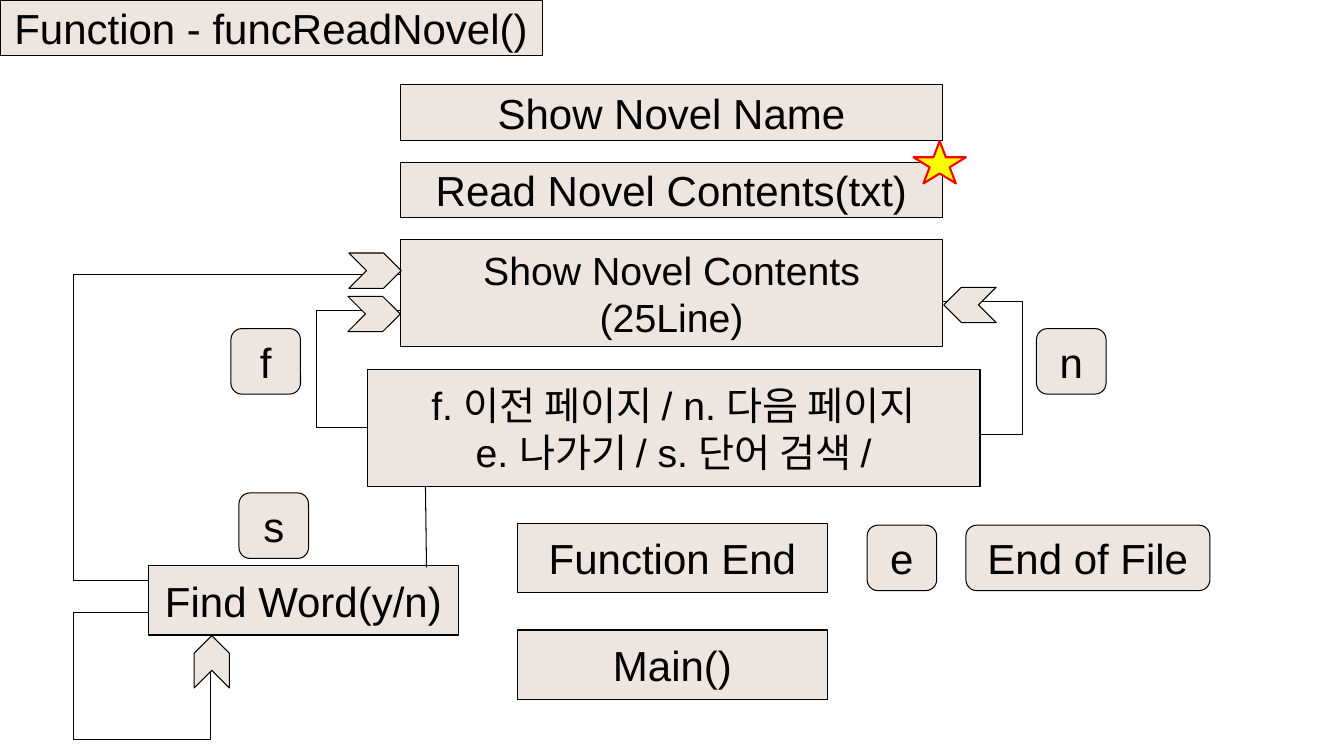
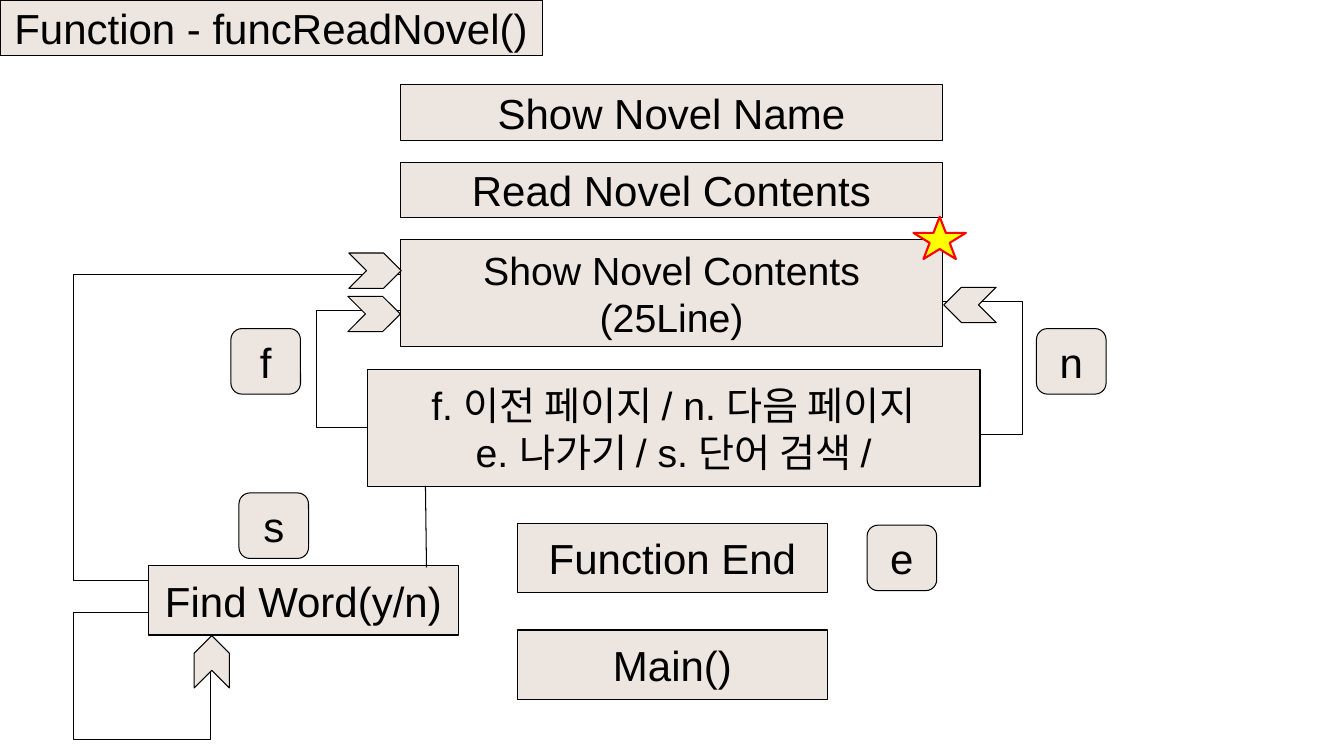
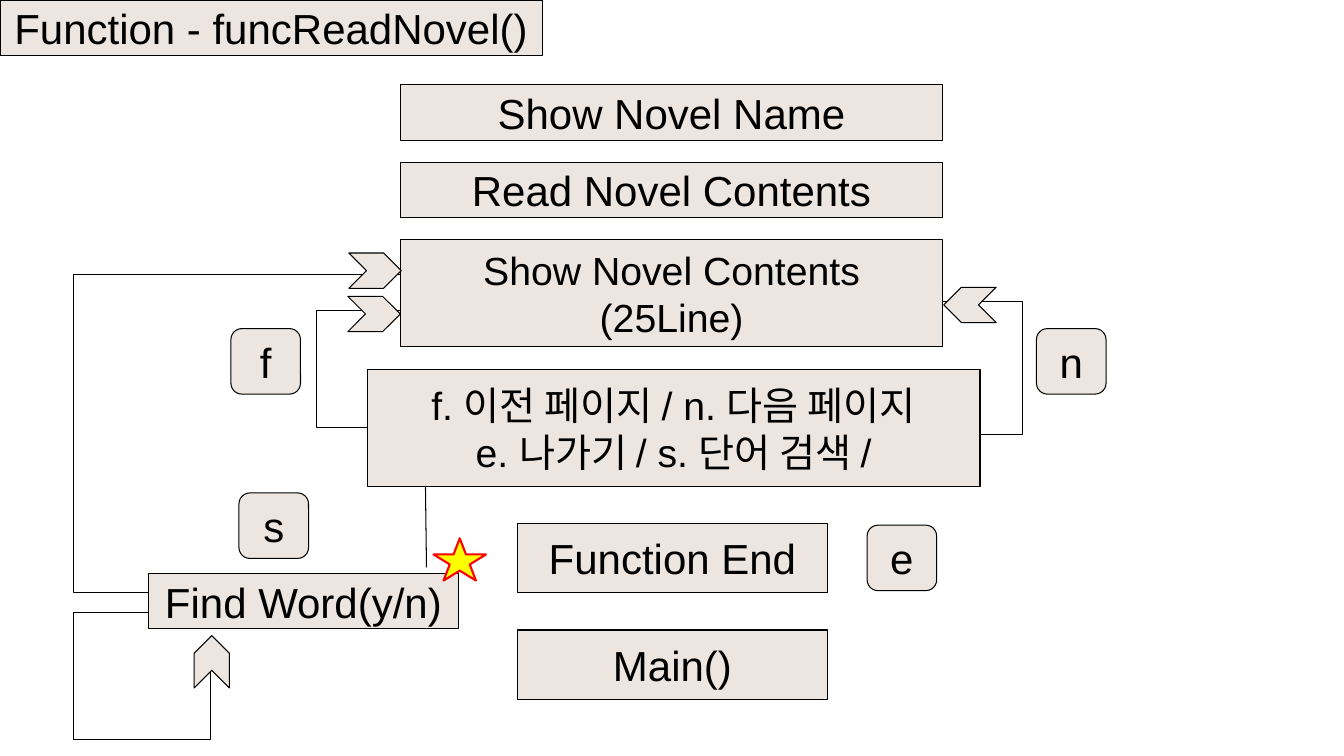
from dataclasses import dataclass

from lxml import etree
from pptx import Presentation
from pptx import util as u
from pptx.dml.color import RGBColor
from pptx.enum import shapes, text
from pptx.oxml import ns

BEIGE = RGBColor(0xED, 0xE5, 0xDF)
BLACK = RGBColor(0x00, 0x00, 0x00)
YELLOW = RGBColor(0xFF, 0xFF, 0x00)
RED = RGBColor(0xFF, 0x00, 0x00)
KIND = shapes.MSO_SHAPE
FRAME_FORMAT = {
    "word_wrap": False,
    "vertical_anchor": text.MSO_ANCHOR.MIDDLE,
    "margin_left": u.Inches(0.1),
    "margin_right": u.Inches(0.1),
    "margin_top": u.Inches(0.1),
    "margin_bottom": u.Inches(0.1),
}


@dataclass
class Box:
    """A rectangle in inches."""

    left: float
    top: float
    width: float
    height: float

    def inner(self, left, top, width, height):
        """Return a box offset from this one's top left corner."""
        return Box(self.left + left, self.top + top, width, height)

    def point(self, left, top):
        """Return a slide position offset from the top left corner."""
        return u.Inches(self.left + left), u.Inches(self.top + top)


PAGE_SIZE = Box(0, 0, 13.33, 7.5)
TITLE = Box(0, 0, 5.38, 0.55)
READING = Box(2.29, 0.84, 8.68, 3.99)
SEARCH = Box(0.73, 2.72, 3.82, 4.62)
EXIT = Box(5.13, 5.19, 6.87, 1.75)


def set_format(target, values):
    """Set every attribute named in a dict of format values."""
    for name, value in values.items():
        setattr(target, name, value)


def add_part(page, kind, box, fill=BEIGE, line=BLACK, weight=0.75):
    """Add a filled, outlined preset shape."""
    part = page.shapes.add_shape(
        kind, *box.point(0, 0), u.Inches(box.width), u.Inches(box.height))
    part.shadow.inherit = False
    part.fill.solid()
    part.fill.fore_color.rgb = fill
    part.line.color.rgb = line
    part.line.width = u.Pt(weight)
    return part


def add_label(page, box, lines, size=30, kind=KIND.RECTANGLE):
    """Add a shape with centred lines of text."""
    frame = add_part(page, kind, box).text_frame
    set_format(frame, FRAME_FORMAT)
    for index, line in enumerate(lines):
        para = frame.add_paragraph() if index else frame.paragraphs[0]
        para.alignment = text.PP_ALIGN.CENTER
        span = para.add_run()
        span.text = line
        set_format(span.font, {"name": "Arial", "size": u.Pt(size)})
        span.font.color.rgb = BLACK


def add_key(page, box, label, left, top, width=0.69):
    """Add a rounded key at an offset in a region."""
    add_label(page, box.inner(left, top, width, 0.65), [label],
              kind=KIND.ROUNDED_RECTANGLE)


def add_chevron(page, box, left, top, rotation=0):
    """Add a chevron that marks the end of a wire."""
    add_part(page, KIND.CHEVRON, box.inner(left, top, 0.52, 0.35)).rotation = rotation


def add_wire(page, box, points):
    """Add an open bent line through points in a region."""
    corners = [box.point(*point) for point in points]
    builder = page.shapes.build_freeform(*corners[0], scale=1.0)
    builder.add_line_segments(corners[1:], close=False)
    wire = builder.convert_to_shape()
    wire.shadow.inherit = False
    wire.fill.background()
    wire.line.color.rgb = BLACK
    wire.line.width = u.Pt(0.75)


def add_link(page, box, start, end):
    """Add a straight line between two points in a region."""
    link = page.shapes.add_connector(
        shapes.MSO_CONNECTOR.STRAIGHT, *box.point(*start), *box.point(*end))
    link.line.color.rgb = BLACK
    link.line.width = u.Pt(0.75)
    etree.SubElement(link._element.spPr, ns.qn("a:effectLst"))


def draw_reading(page, box, read_step):
    """Draw the reading steps, the page menu and the paging loops."""
    add_wire(page, box, [(7.34, 3.47), (7.85, 3.47), (7.85, 2.15), (7.01, 2.15)])
    add_wire(page, box, [(1.36, 3.4), (0.85, 3.4), (0.85, 2.24), (1.69, 2.24)])
    add_label(page, box.inner(1.35, 2.83, 6.08, 1.16),
              ["f. 이전 페이지 / n. 다음 페이지", "e. 나가기 / s. 단어 검색 /"], 28)
    top = 0
    for lines, height, size in (
            (["Show Novel Name"], 0.55, 30),
            ([read_step], 0.55, 30),
            (["Show Novel Contents", "(25Line)"], 1.06, 28)):
        add_label(page, box.inner(1.68, top, 5.38, height), lines, size)
        top += height + 0.22
    add_chevron(page, box, 7.07, 2.01, 180)
    add_chevron(page, box, 1.16, 2.1)
    for label, left in (("f", 0), ("n", 7.99)):
        add_key(page, box, label, left, 2.42)


def draw_search(page, box, word_top, word_height, exit_top):
    """Draw the word search with its two loops and its key."""
    add_wire(page, box, [(0.76, exit_top), (0, exit_top), (0, 0), (3.25, 0)])
    add_wire(page, box, [(0.78, 3.36), (0, 3.36), (0, 4.62), (1.36, 4.62), (1.36, 3.59)])
    add_chevron(page, box, 1.11, 3.67, 270)
    add_label(page, box.inner(0.74, word_top, 3.08, word_height), ["Find Word(y/n)"])
    add_chevron(page, box, 2.73, -0.21)
    add_link(page, box, (3.49, 2.1), (3.5, 2.91))
    add_key(page, box, "s", 1.64, 2.17)


def draw_exit(page, box, file_end):
    """Draw the way out of the function."""
    for row, label in enumerate(("Function End", "Main()")):
        add_label(page, box.inner(0, row * 1.06, 3.08, 0.69), [label])
    add_key(page, box, "e", 3.47, 0.02)
    if file_end:
        add_key(page, box, "End of File", 4.45, 0.02, 2.42)


def draw_star(page, box):
    """Draw the star that marks the current step."""
    add_part(page, KIND.STAR_5_POINT, box, YELLOW, RED, 1.5)


def draw_page(deck, star, read_step="Read Novel Contents",
              word=(2.89, 0.69, 3.04), file_end=False):
    """Add one flow chart slide."""
    page = deck.slides.add_slide(deck.slide_layouts[6])
    add_label(page, TITLE, ["Function - funcReadNovel()"])
    draw_reading(page, READING, read_step)
    draw_search(page, SEARCH, *word)
    draw_exit(page, EXIT, file_end)
    draw_star(page, Box(*star, 0.52, 0.42))


def main():
    """Build the deck and save it."""
    deck = Presentation()
    deck.slide_width = u.Inches(PAGE_SIZE.width)
    deck.slide_height = u.Inches(PAGE_SIZE.height)
    draw_page(deck, (9.06, 1.4), "Read Novel Contents(txt)", file_end=True)
    draw_page(deck, (9.06, 2.15))
    draw_page(deck, (4.3, 5.34), word=(2.97, 0.55, 3.16))
    deck.save("out.pptx")


if __name__ == "__main__":
    main()
